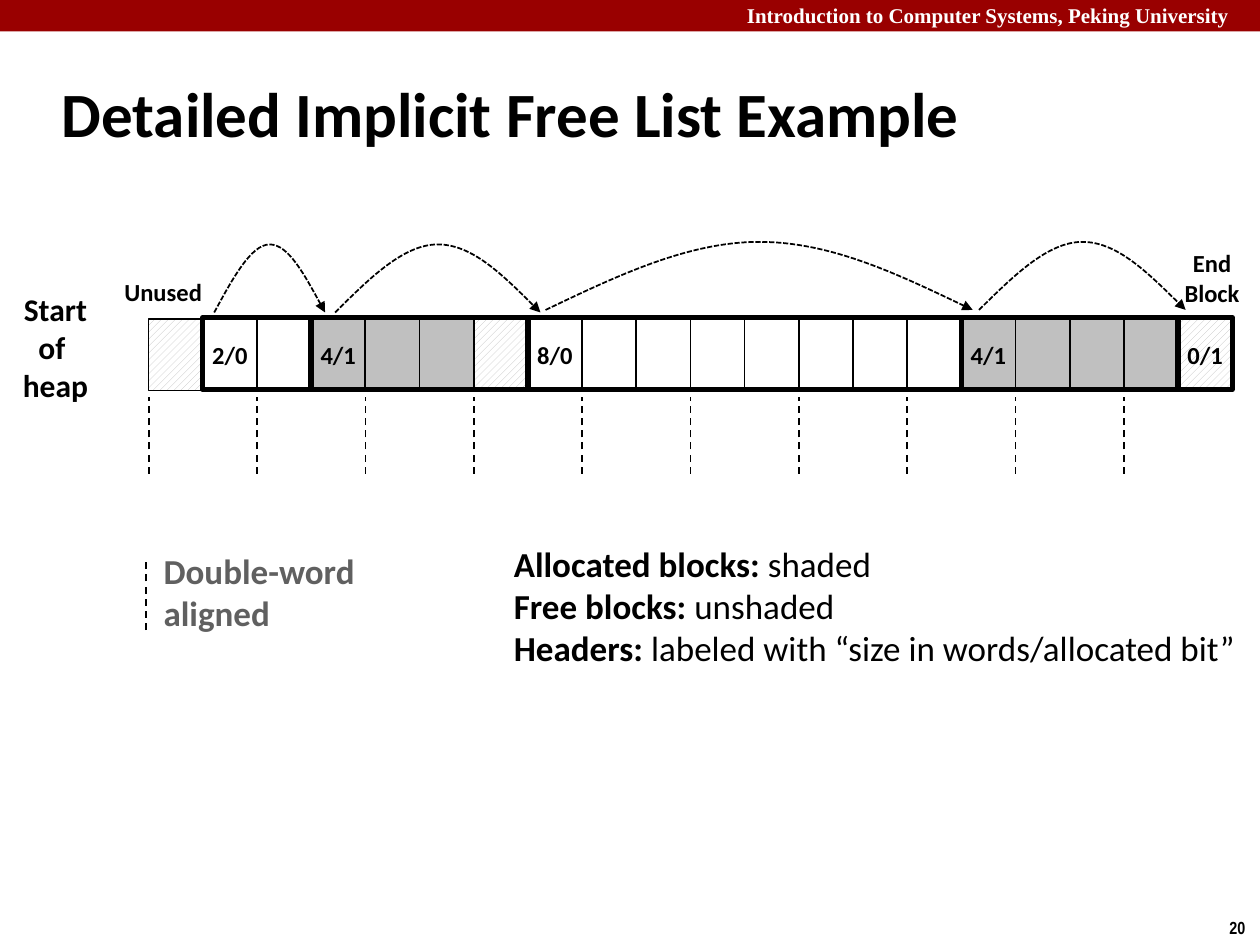
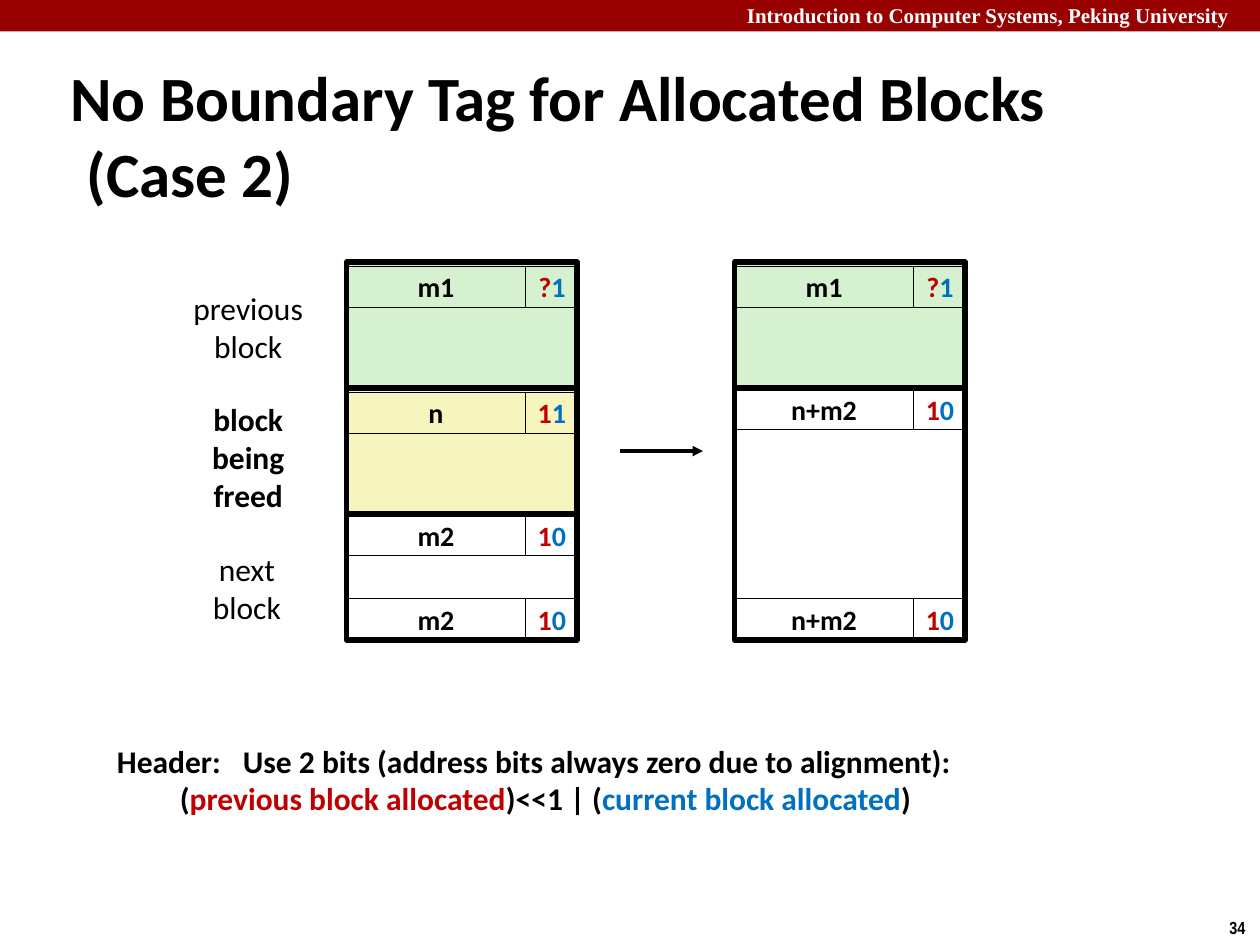
"""Build two slides on heap blocks: an implicit free list and a freeing case."""
import dataclasses

import lxml.etree
import pptx
import pptx.dml.color
import pptx.enum.dml
import pptx.enum.shapes
import pptx.enum.text
import pptx.oxml.ns
import pptx.util

Inches = pptx.util.Inches
qn = pptx.oxml.ns.qn
LEFT = pptx.enum.text.PP_ALIGN.LEFT
CENTER = pptx.enum.text.PP_ALIGN.CENTER
RECT = pptx.enum.shapes.MSO_SHAPE.RECTANGLE
DASH = pptx.enum.dml.MSO_LINE.DASH


@dataclasses.dataclass(frozen=True)
class Theme:
    black: str = "000000"
    white: str = "FFFFFF"
    band: str = "990000"
    shade: str = "C0C0C0"
    dim: str = "606060"
    green: str = "D5F1CF"
    yellow: str = "F6F5BD"
    red: str = "C00000"
    blue: str = "0070C0"
    body: str = "Calibri"
    banner: str = "Times New Roman"
    number: str = "Arial Narrow"
    title: int = 36
    large: int = 20
    text: int = 18
    cell: int = 16
    small: int = 14
    course: int = 12
    folio: int = 10


theme = Theme()
color = pptx.dml.color.RGBColor.from_string


def write(frame, rows, size, align=LEFT, face=theme.body):
    frame.text = "\n".join(row[0][0] for row in rows)
    frame.vertical_anchor = pptx.enum.text.MSO_ANCHOR.MIDDLE
    for para, row in zip(frame.paragraphs, rows):
        para.alignment = align
        for part in row[1:]:
            para.add_run().text = part[0]
        for run, (_, hue, bold) in zip(para.runs, row):
            run.font.name = face
            run.font.size = pptx.util.Pt(size)
            run.font.bold = bold
            run.font.color.rgb = color(hue)


def block(sheet, at, fill=None, weight=None, rows=None, size=theme.cell):
    shape = sheet.shapes.add_shape(RECT, *map(Inches, at))
    shape.shadow.inherit = False
    if fill == "hatch":
        shape.fill.patterned()
        shape.fill.pattern = pptx.enum.dml.MSO_PATTERN.WIDE_UPWARD_DIAGONAL
        shape.fill.fore_color.rgb = color(theme.shade)
        shape.fill.back_color.rgb = color(theme.white)
    elif fill:
        shape.fill.solid()
        shape.fill.fore_color.rgb = color(fill)
    else:
        shape.fill.background()
    if weight:
        shape.line.color.rgb = color(theme.black)
        shape.line.width = pptx.util.Pt(weight)
    else:
        shape.line.fill.background()
    if rows:
        shape.text_frame.word_wrap = False
        write(shape.text_frame, rows, size, CENTER)
    return shape


deck = pptx.Presentation()
deck.slide_width, deck.slide_height = Inches(10), Inches(7.5)
layout = deck.slide_layouts[5]

sheets = []
for title, at, folio in (
    ("Detailed Implicit Free List Example", (0.39, 0.48, 8.3, 0.83), "20"),
    ("No Boundary Tag for Allocated Blocks (Case 2)", (0.46, 0.75, 9.08, 0.63), "34"),
):
    sheet = deck.slides.add_slide(layout)
    head = sheet.shapes.title
    head.left, head.top, head.width, head.height = map(Inches, at)
    write(head.text_frame, [[(title, theme.black, True)]], theme.title)
    head.text_frame.auto_size = pptx.enum.text.MSO_AUTO_SIZE.NONE
    indent = head.text_frame.paragraphs[0]._p.get_or_add_pPr()
    indent.set("marL", str(Inches(0.13)))
    indent.set("indent", str(-Inches(0.13)))
    corner = sheet.shapes.add_textbox(*map(Inches, (9.66, 7.23, 0.34, 0.27)))
    corner.text_frame.word_wrap = False
    write(corner.text_frame, [[(folio, theme.black, True)]], theme.folio, face=theme.number)
    sheets.append(sheet)
heap, freed = sheets

band = block(heap, (0, 0, 10, 0.25), theme.band)
course = heap.shapes.add_textbox(*map(Inches, (5.83, -0.03, 4.24, 0.3)))
course.text_frame.word_wrap = True
write(course.text_frame, [[("Introduction to Computer Systems, Peking University", theme.white, True)]],
      theme.course, face=theme.banner)
for part in (band, course):
    layout.shapes.element.append(part.element)

start, top, step, height = 1.18, 2.53, 0.43, 0.57
fills = {"F": theme.white, "A": theme.shade, "H": "hatch"}
spot = 0
frames = []
for label, cells in (("", "H"), ("2/0", "FF"), ("4/1", "AAAH"), ("8/0", "FFFFFFFF"),
                     ("4/1", "AAAA"), ("0/1", "H")):
    left = start + spot * step
    for i, kind in enumerate(cells):
        rows = [[(label, theme.black, True)]] if label and i == 0 else None
        block(heap, (left + i * step, top, step, height), fills[kind], 1, rows, theme.small)
    if label:
        frames.append((left, top - 0.01, len(cells) * step, height))
    spot += len(cells)
for at in frames:
    block(heap, at, weight=3)

for near, far, peak in ((1.7, 2.58, 1.94), (2.66, 4.29, 1.94), (4.33, 7.72, 1.92), (7.77, 9.41, 1.92)):
    base, mid = peak + 0.54, peak + 0.27
    steps = enumerate((base, mid, peak, peak, peak, mid, base))
    points = [(Inches(near + (far - near) * i / 6), Inches(y)) for i, y in steps]
    pen = heap.shapes.build_freeform(*points[0])
    pen.add_line_segments(points[1:], close=False)
    arc = pen.convert_to_shape()
    arc.shadow.inherit = False
    arc.fill.background()
    arc.line.color.rgb = color(theme.black)
    arc.line.width = pptx.util.Pt(1)
    arc.line.dash_style = pptx.enum.dml.MSO_LINE.SQUARE_DOT
    lxml.etree.SubElement(arc.line._ln, qn("a:tailEnd"), type="triangle")
    route = arc.element.find(".//" + qn("a:path"))
    legs = route.findall(qn("a:lnTo"))
    for i in (0, 3):
        curve = lxml.etree.SubElement(route, qn("a:cubicBezTo"))
        for leg in legs[i:i + 3]:
            curve.append(leg[0])
            route.remove(leg)

tall, wide, narrow, row = 1.83, 1.42, 0.42, 0.33
for left, y, depth, name, bits, fill, lead, foot in (
    (2.75, 2.08, 1, "m1", "?1", theme.green, 0.03, False),
    (2.75, 3.08, 1, "n", "11", theme.yellow, 0.03, False),
    (2.75, 4.08, 1, "m2", "10", theme.white, 0, True),
    (5.83, 2.08, 1, "m1", "?1", theme.green, 0.03, False),
    (5.83, 3.08, 2, "n+m2", "10", theme.white, 0, True),
):
    block(freed, (left, y, tall, depth), fill, 0.25)
    tag = [[(bits[0], theme.red, True), (bits[1], theme.blue, True)]]
    for edge in [y + lead] + [y + depth - row] * foot:
        block(freed, (left, edge, wide, row), fill, 0.25, [[(name, theme.black, True)]])
        block(freed, (left + wide, edge, narrow, row), fill, 0.25, tag)
    block(freed, (left, y, tall, depth), weight=3)

lines = [(heap, (start + 2 * i * step, 3.76, start + 2 * i * step, 3.15), 1, DASH) for i in range(10)]
lines.append((heap, (1.16, 5, 1.16, 4.45), 1, DASH))
lines.append((freed, (4.92, 3.58, 5.58, 3.58), 2, None))
for sheet, ends, weight, dash in lines:
    line = sheet.shapes.add_connector(pptx.enum.shapes.MSO_CONNECTOR.STRAIGHT, *map(Inches, ends))
    line.line.color.rgb = color(theme.black)
    line.line.width = pptx.util.Pt(weight)
    if dash:
        line.line.dash_style = dash
    else:
        lxml.etree.SubElement(line.line._ln, qn("a:tailEnd"), type="triangle")
    lxml.etree.SubElement(line.element.spPr, qn("a:effectLst"))

notes = []
for sheet, at, text, size, hue, bold, align in (
    (heap, (0.08, 2.25, 0.72, 1.01), "Start \nof \nheap", theme.text, theme.black, True, CENTER),
    (heap, (0.84, 2.13, 0.91, 0.37), "Unused", theme.small, theme.black, True, CENTER),
    (heap, (9.3, 1.92, 0.64, 0.57), "End\nBlock", theme.small, theme.black, True, CENTER),
    (heap, (1.2, 4.31, 2.04, 0.77), "Double-word\naligned", theme.large, theme.dim, True, LEFT),
    (freed, (1.42, 2.24, 1.1, 0.71), "previous\nblock", theme.text, theme.black, False, CENTER),
    (freed, (1.58, 3.12, 0.78, 1.01), "block\nbeing\nfreed", theme.text, theme.black, True, CENTER),
    (freed, (1.58, 4.31, 0.76, 0.71), "next\nblock", theme.text, theme.black, False, CENTER),
):
    notes.append((sheet, at, [[(part, hue, bold)] for part in text.split("\n")], size, align))

legend = (
    ("Allocated blocks: ", "shaded"),
    ("Free blocks: ", "unshaded"),
    ("Headers: ", "labeled with “size in words/allocated bit”"),
)
notes.append((heap, (3.98, 4.25, 5.97, 1.11),
              [[(term, theme.black, True), (sense, theme.black, False)] for term, sense in legend],
              theme.large, LEFT))
notes.append((freed, (0.83, 5.83, 7.06, 0.71), [
    [("Header: \tUse 2 bits (address bits always zero due to alignment):", theme.black, True)],
    [("\t(", theme.black, True), ("previous block allocated", theme.red, True),
     (")<<1 | (", theme.black, True), ("current block allocated", theme.blue, True),
     (")", theme.black, True)],
], theme.text, LEFT))
for sheet, at, rows, size, align in notes:
    note = sheet.shapes.add_textbox(*map(Inches, at))
    note.text_frame.word_wrap = at[2] == 2.04
    write(note.text_frame, rows, size, align)

deck.save("out.pptx")
